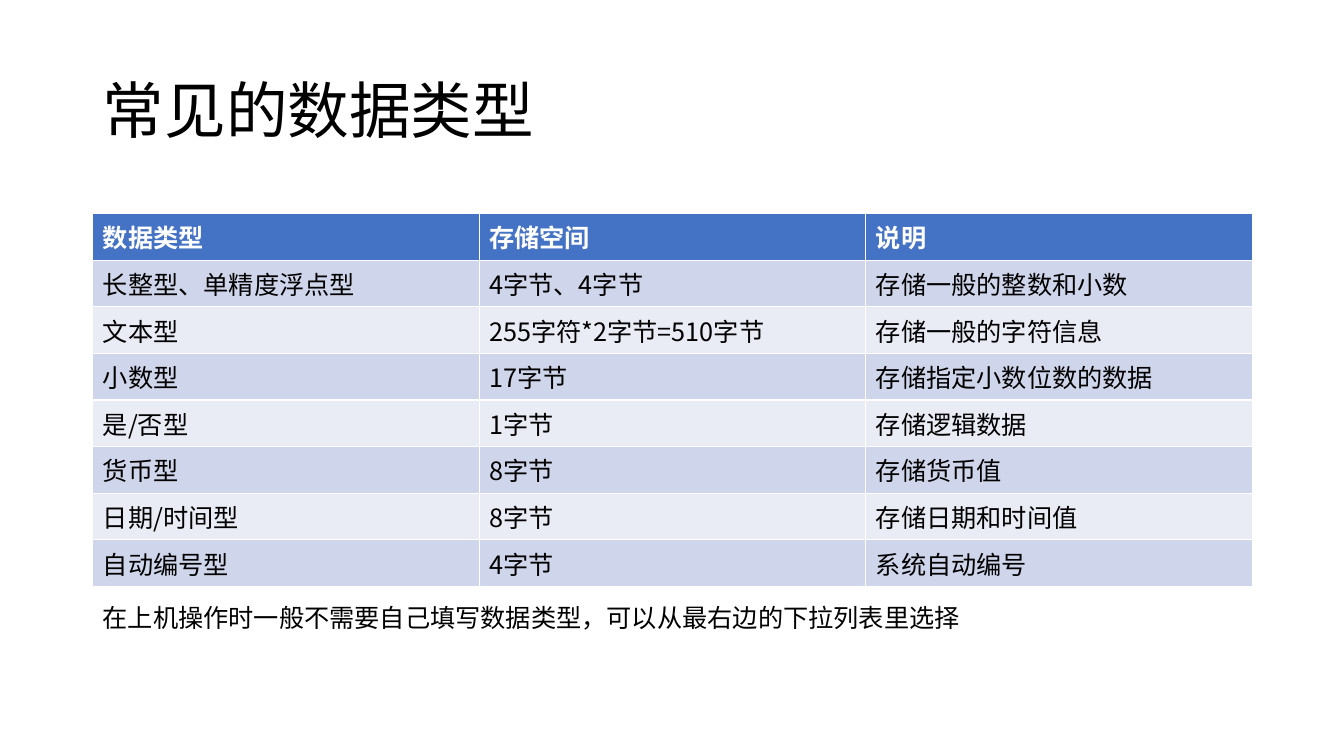
from lxml import etree
from pptx import Presentation
from pptx.dml.color import RGBColor
from pptx.enum.text import MSO_ANCHOR, PP_ALIGN
from pptx.oxml.ns import qn
from pptx.util import Inches, Pt

TITLE = "常见的数据类型"
ROWS = [
    ("数据类型", "存储空间", "说明"),
    ("长整型、单精度浮点型", "4字节、4字节", "存储一般的整数和小数"),
    ("文本型", "255字符*2字节=510字节", "存储一般的字符信息"),
    ("小数型", "17字节", "存储指定小数位数的数据"),
    ("是/否型", "1字节", "存储逻辑数据"),
    ("货币型", "8字节", "存储货币值"),
    ("日期/时间型", "8字节", "存储日期和时间值"),
    ("自动编号型", "4字节", "系统自动编号"),
]
NOTE = "在上机操作时一般不需要自己填写数据类型，可以从最右边的下拉列表里选择"

FONT = "Noto Sans CJK SC"
BLACK = RGBColor(0x00, 0x00, 0x00)
WHITE = RGBColor(0xFF, 0xFF, 0xFF)
BLUE = RGBColor(0x44, 0x72, 0xC4)
BANDS = (RGBColor(0xE9, 0xEB, 0xF5), RGBColor(0xCF, 0xD5, 0xEA))
LEFT, WIDTH, ROW = 0.92, 11.5, 0.46
LEAD = PP_ALIGN.LEFT
MIDDLE = MSO_ANCHOR.MIDDLE


def write(frame, text, size, color=BLACK, bold=False):
    """Add one left-aligned run to the first paragraph of a frame."""
    para = frame.paragraphs[0]
    para.alignment = LEAD
    run = para.add_run()
    run.text = text
    font = run.font
    font.name, font.size, font.bold = FONT, Pt(size), bold
    font.color.rgb = color
    etree.SubElement(run._r.get_or_add_rPr(), qn("a:ea"), typeface=FONT)
    return para


def place(shape, top, height):
    """Set a shape on the common left edge and width."""
    shape.left, shape.top = Inches(LEFT), Inches(top)
    shape.width, shape.height = Inches(WIDTH), Inches(height)


def main():
    """Build the slide and save it."""
    deck = Presentation()
    deck.slide_width, deck.slide_height = Inches(13.33), Inches(7.5)
    slide = deck.slides.add_slide(deck.slide_layouts[5])

    title = slide.shapes.title
    place(title, 0.4, 1.45)
    title.text_frame.vertical_anchor = MIDDLE
    write(title.text_frame, TITLE, 44).line_spacing = 0.9

    table = slide.shapes.add_table(
        len(ROWS), len(ROWS[0]), Inches(LEFT), Inches(2.12),
        Inches(WIDTH), Inches(ROW * len(ROWS))).table
    for i, row in enumerate(ROWS):
        head = i == 0
        for j, text in enumerate(row):
            cell = table.cell(i, j)
            cell.fill.solid()
            cell.fill.fore_color.rgb = BLUE if head else BANDS[i % 2]
            write(cell.text_frame, text, 18, WHITE if head else BLACK, head)

    note = slide.shapes.add_textbox(0, 0, 0, 0)
    place(note, 5.93, 0.4)
    note.text_frame.word_wrap = True
    write(note.text_frame, NOTE, 18)
    deck.save("out.pptx")


if __name__ == "__main__":
    main()
